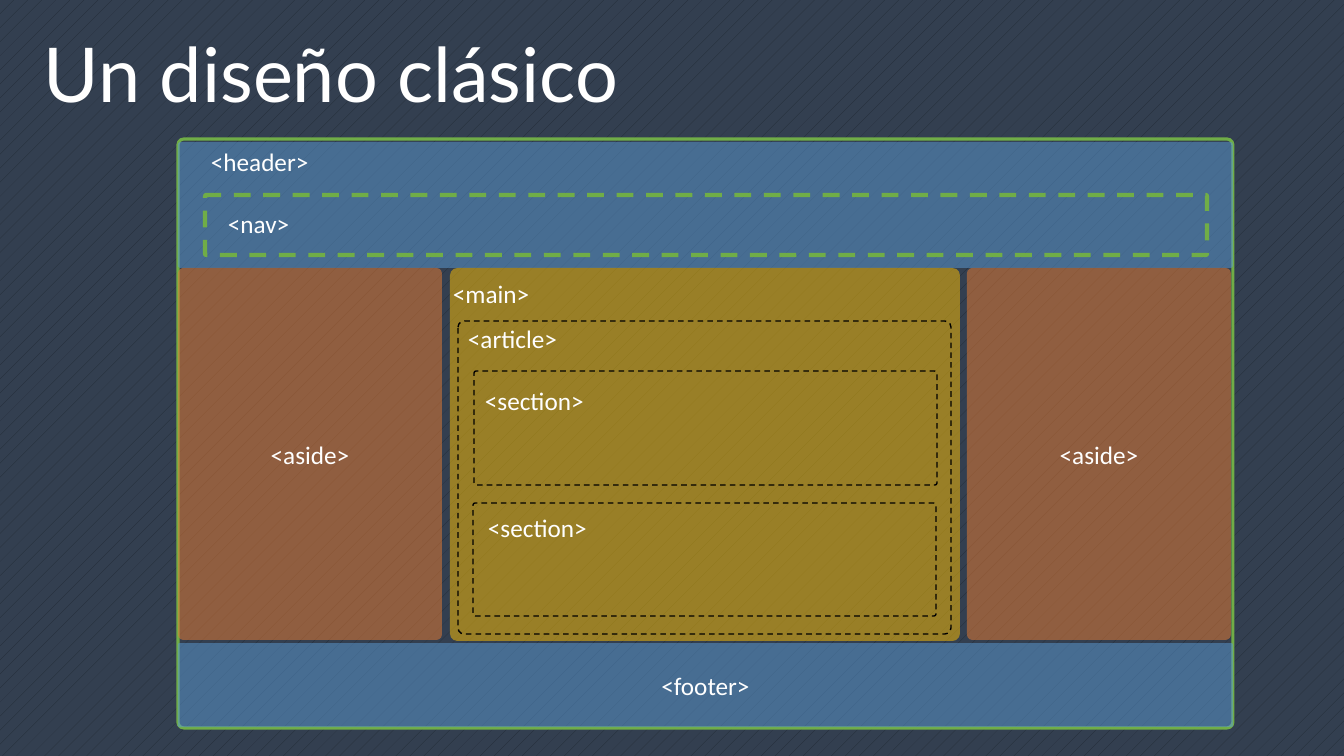
from pptx import Presentation
from pptx.dml.color import RGBColor
from pptx.enum.dml import MSO_LINE, MSO_PATTERN
from pptx.enum.shapes import MSO_SHAPE
from pptx.enum.text import MSO_ANCHOR, PP_ALIGN
from pptx.oxml.ns import qn
from pptx.util import Pt
from lxml import etree

ROUND = MSO_SHAPE.ROUNDED_RECTANGLE
DASH = MSO_LINE.DASH
SCALE = 914400 / 100.8
HEX = {"back": "333F50", "dots": "222A35", "text": "FFFFFF", "blue": "5B9BD5",
       "gold": "FFC000", "rust": "ED7D31", "green": "70AD47", "black": "000000"}
COLOR = {name: RGBColor.from_string(code) for name, code in HEX.items()}


def emu(*pixels):
    return [round(p * SCALE) for p in pixels]


def write(shape, text, size=18, font="Calibri"):
    frame = shape.text_frame
    frame.word_wrap = True
    para = frame.paragraphs[0]
    para.text = text
    para.font.size = Pt(size)
    para.font.name = font
    para.font.color.rgb = COLOR["text"]
    return frame


deck = Presentation()
deck.slide_width, deck.slide_height = emu(1344, 756)
slide = deck.slides.add_slide(deck.slide_layouts[6])
shapes = slide.shapes

# Background
fill = slide.background.fill
fill.patterned()
fill.pattern = MSO_PATTERN.PERCENT_5
fill.fore_color.rgb = COLOR["dots"]
fill.back_color.rgb = COLOR["back"]

# Title
write(shapes.add_textbox(*emu(34, 22, 1275, 102)), "Un diseño clásico", 54, "Lato")

# Page regions: box, fill, line (colour, width, dash), centred label
page = ("green", 2.25, None)
menu = ("green", 3, DASH)
part = ("black", 1, DASH)
regions = [
    ((178, 139, 1055, 589), None, page, ""),
    ((178, 142, 1055, 126), "blue", None, ""),
    ((178, 643, 1055, 84), "blue", None, "<footer>"),
    ((205, 195, 1002, 60), None, menu, ""),
    ((450, 268, 510, 373), "gold", None, ""),
    ((178, 268, 264, 372), "rust", None, "<aside>"),
    ((967, 268, 264, 372), "rust", None, "<aside>"),
    ((458, 321, 493, 313), None, part, ""),
    ((474, 371, 463, 114), None, part, ""),
    ((473, 503, 463, 113), None, part, ""),
]
for box, tint, edge, label in regions:
    shape = shapes.add_shape(ROUND, *emu(*box))
    shape.shadow.inherit = False
    shape.adjustments[0] = 0.01 if edge == page else 0.02
    if tint:
        shape.fill.solid()
        shape.fill.fore_color.rgb = COLOR[tint]
        tone = shape.fill._xPr.find(qn("a:solidFill"))[0]
        etree.SubElement(tone, qn("a:alpha")).set("val", "50000")
    else:
        shape.fill.background()
    if edge:
        name, width, style = edge
        shape.line.color.rgb = COLOR[name]
        shape.line.width = Pt(width)
        if style:
            shape.line.dash_style = style
    else:
        shape.line.fill.background()
    if label:
        frame = write(shape, label)
        frame.vertical_anchor = MSO_ANCHOR.MIDDLE
        frame.paragraphs[0].alignment = PP_ALIGN.CENTER

# Tag labels
tags = [("<section>", 475, 380), ("<article>", 458, 318), ("<main>", 443, 273),
        ("<section>", 478, 507), ("<header>", 201, 141), ("<nav>", 218, 203)]
for tag, left, top in tags:
    write(shapes.add_textbox(*emu(left, top, 316, 40)), tag)

deck.save("out.pptx")
